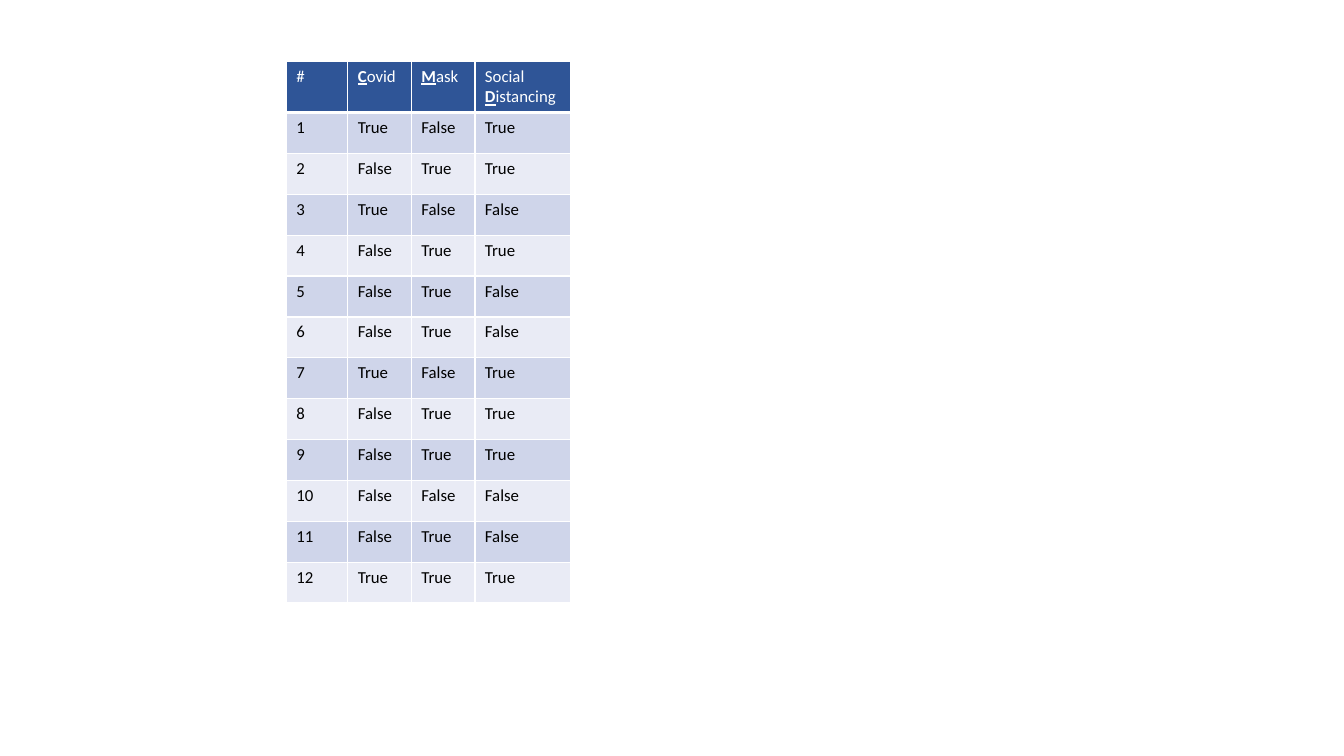
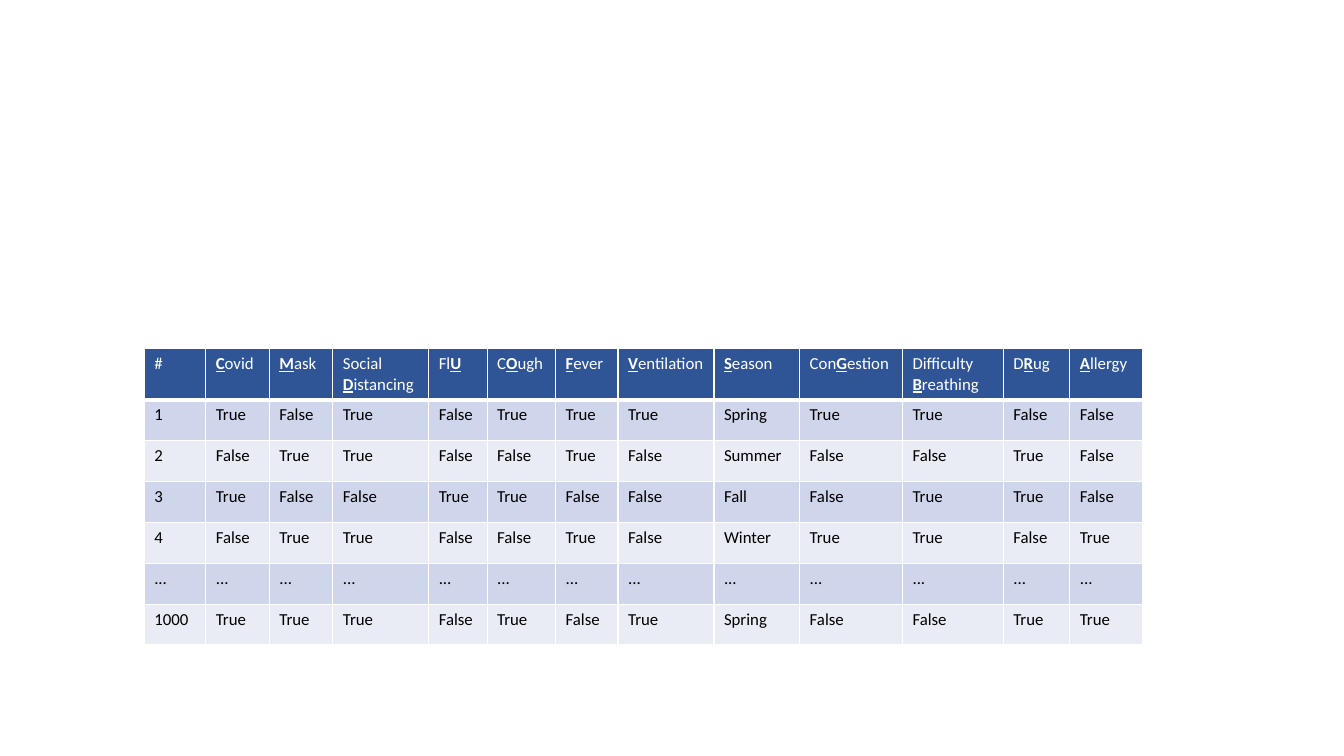
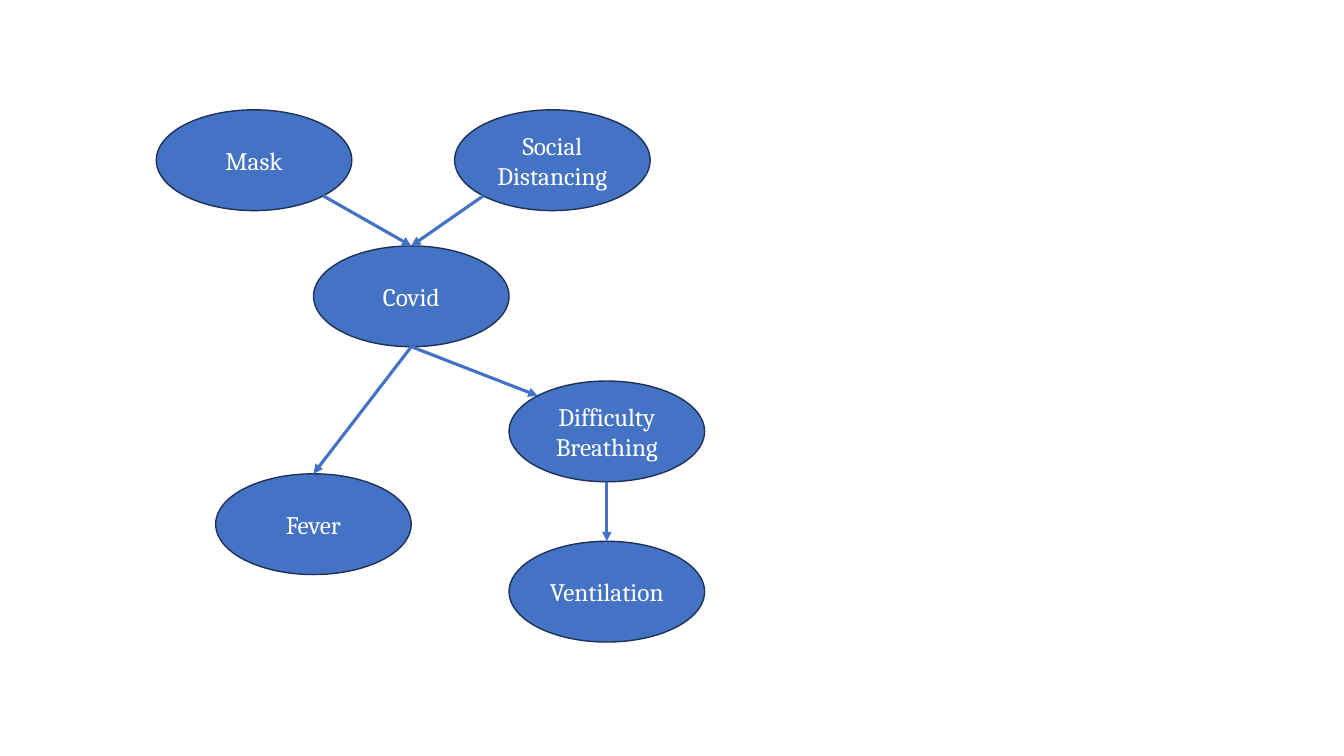
from math import cos, radians, sin

from lxml import etree
from pptx import Presentation
from pptx import util as u
from pptx.dml.color import RGBColor
from pptx.enum import shapes, text
from pptx.oxml import ns

WIDTH, HEIGHT = u.Inches(13.33), u.Inches(7.5)
WHITE, BLACK, NAVY, BLUE, OUTLINE = "FFFFFF", "000000", "2F5597", "4472C4", "1E3256"
BANDS = ("CFD5EA", "E9EBF5")
HEADER_HEIGHT, ROW_HEIGHT = u.Pt(36.5), u.Pt(29.2)
NODE_WIDTH, NODE_HEIGHT = 14.55, 13.33

COLUMNS = {
    "#": 4.58, "*C*ovid": 4.73, "*M*ask": 4.73, "Social *D*istancing": 7.13,
    "Fl*U*": 4.35, "C*O*ugh": 5.1, "*F*ever": 4.65, "*V*entilation": 7.13,
    "*S*eason": 6.38, "Con*G*estion": 7.65, "Difficulty *B*reathing": 7.5,
    "D*R*ug": 4.95, "*A*llergy": 5.4,
}
SMALL_SAMPLE = [
    "1 True False True",
    "2 False True True",
    "3 True False False",
    "4 False True True",
    "5 False True False",
    "6 False True False",
    "7 True False True",
    "8 False True True",
    "9 False True True",
    "10 False False False",
    "11 False True False",
    "12 True True True",
]
FULL_SAMPLE = [
    "1 True False True False True True True Spring True True False False",
    "2 False True True False False True False Summer False False True False",
    "3 True False False True True False False Fall False True True False",
    "4 False True True False False True False Winter True True False True",
    " ".join(["..."] * len(COLUMNS)),
    "1000 True True True False True False True Spring False False True True",
]
NODES = {
    "Mask": (11.63, 14.53), "Social Distancing": (33.83, 14.53),
    "Covid": (23.33, 32.53), "Fever": (16.05, 62.67),
    "Difficulty Breathing": (37.88, 50.4), "Ventilation": (37.88, 71.6),
}
TOP, TOP_LEFT, BOTTOM_LEFT, BOTTOM, BOTTOM_RIGHT = 0, 1, 3, 4, 5
ARROWS = [
    ("Mask", BOTTOM_RIGHT, "Covid", TOP),
    ("Social Distancing", BOTTOM_LEFT, "Covid", TOP),
    ("Covid", BOTTOM, "Fever", TOP),
    ("Covid", BOTTOM, "Difficulty Breathing", TOP_LEFT),
    ("Difficulty Breathing", BOTTOM, "Ventilation", TOP),
]


def across(percent):
    """Return a share of the slide's width."""
    return u.Emu(round(WIDTH * percent / 100))


def down(percent):
    """Return a share of the slide's height."""
    return u.Emu(round(HEIGHT * percent / 100))


def color(hex_value):
    """Return the colour for a hex string."""
    return RGBColor.from_string(hex_value)


def add_xml(parent, tag, **attributes):
    """Append an XML element with the given attributes."""
    return etree.SubElement(parent, ns.qn(tag), attributes)


def write(frame, content, font="Calibri", size=12, ink=BLACK, align=None):
    """Write one paragraph, with letters between asterisks bold and underlined."""
    paragraph = frame.paragraphs[0]
    paragraph.alignment = align
    for index, part in enumerate(content.split("*")):
        if part:
            run = paragraph.add_run()
            run.text = part
            run.font.name, run.font.size = font, u.Pt(size)
            run.font.color.rgb = color(ink)
            run.font.bold = run.font.underline = index % 2 == 1


def format_cell(cell, fill, top=1, bottom=1):
    """Give a cell white borders and a solid fill."""
    properties = cell._tc.get_or_add_tcPr()
    for side, points in (("L", 1), ("R", 1), ("T", top), ("B", bottom)):
        border = add_xml(properties, f"a:ln{side}", w=str(u.Pt(points)))
        add_xml(add_xml(border, "a:solidFill"), "a:srgbClr", val=WHITE)
    cell.fill.solid()
    cell.fill.fore_color.rgb = color(fill)


def add_sample_table(slide, left, top, records):
    """Add a banded table with as many of the headings as the records have values."""
    rows = [record.split() for record in records]
    headings = list(COLUMNS)[:len(rows[0])]
    widths = [across(COLUMNS[heading]) for heading in headings]
    height = HEADER_HEIGHT + ROW_HEIGHT * len(rows)
    table = slide.shapes.add_table(
        len(rows) + 1, len(headings), across(left), down(top), sum(widths), height
    ).table
    table.first_row = table.horz_banding = False
    for column, width in zip(table.columns, widths):
        column.width = width
    for index, values in enumerate([headings] + rows):
        header = index == 0
        table.rows[index].height = HEADER_HEIGHT if header else ROW_HEIGHT
        for cell, value in zip(table.rows[index].cells, values):
            format_cell(cell, NAVY if header else BANDS[(index - 1) % 2],
                        top=3 if index == 1 else 1, bottom=3 if header else 1)
            write(cell.text_frame, value, ink=WHITE if header else BLACK)


def add_node(slide, label, left, top):
    """Add a labelled ellipse."""
    node = slide.shapes.add_shape(shapes.MSO_SHAPE.OVAL, across(left), down(top),
                                  across(NODE_WIDTH), down(NODE_HEIGHT))
    node.shadow.inherit = False
    node.fill.solid()
    node.fill.fore_color.rgb = color(BLUE)
    node.line.color.rgb, node.line.width = color(OUTLINE), u.Pt(1)
    node.text_frame.word_wrap = True
    node.text_frame.vertical_anchor = text.MSO_ANCHOR.MIDDLE
    write(node.text_frame, label, font="Cambria", size=18, ink=WHITE,
          align=text.PP_ALIGN.CENTER)
    return node


def site_point(node, site):
    """Return an ellipse's connection site, counted anticlockwise from the top."""
    angle = radians(45 * site)
    return (round(node.left + node.width * (1 - sin(angle)) / 2),
            round(node.top + node.height * (1 - cos(angle)) / 2))


def add_arrow(slide, start, start_site, end, end_site):
    """Add an arrow glued to a site on each of two ellipses."""
    arrow = slide.shapes.add_connector(
        shapes.MSO_CONNECTOR.STRAIGHT,
        *site_point(start, start_site), *site_point(end, end_site))
    arrow.line.color.rgb, arrow.line.width = color(BLUE), u.Pt(2.25)
    add_xml(arrow.line._get_or_add_ln(), "a:tailEnd", type="triangle")
    add_xml(arrow._element.spPr, "a:effectLst")
    glue = arrow._element.find(".//" + ns.qn("p:cNvCxnSpPr"))
    add_xml(glue, "a:stCxn", id=str(start.shape_id), idx=str(start_site))
    add_xml(glue, "a:endCxn", id=str(end.shape_id), idx=str(end_site))


def add_network(slide):
    """Add the ellipses and the arrows between them."""
    nodes = {label: add_node(slide, label, *place) for label, place in NODES.items()}
    for start, start_site, end, end_site in ARROWS:
        add_arrow(slide, nodes[start], start_site, nodes[end], end_site)


def main():
    """Build and save the presentation."""
    presentation = Presentation()
    presentation.slide_width, presentation.slide_height = WIDTH, HEIGHT
    blank = presentation.slide_layouts.get_by_name("Blank")
    small, full, network = [presentation.slides.add_slide(blank) for _ in range(3)]
    add_sample_table(small, 21.3, 8.13, SMALL_SAMPLE)
    add_sample_table(full, 10.73, 46.13, FULL_SAMPLE)
    add_network(network)
    presentation.save("out.pptx")


if __name__ == "__main__":
    main()
